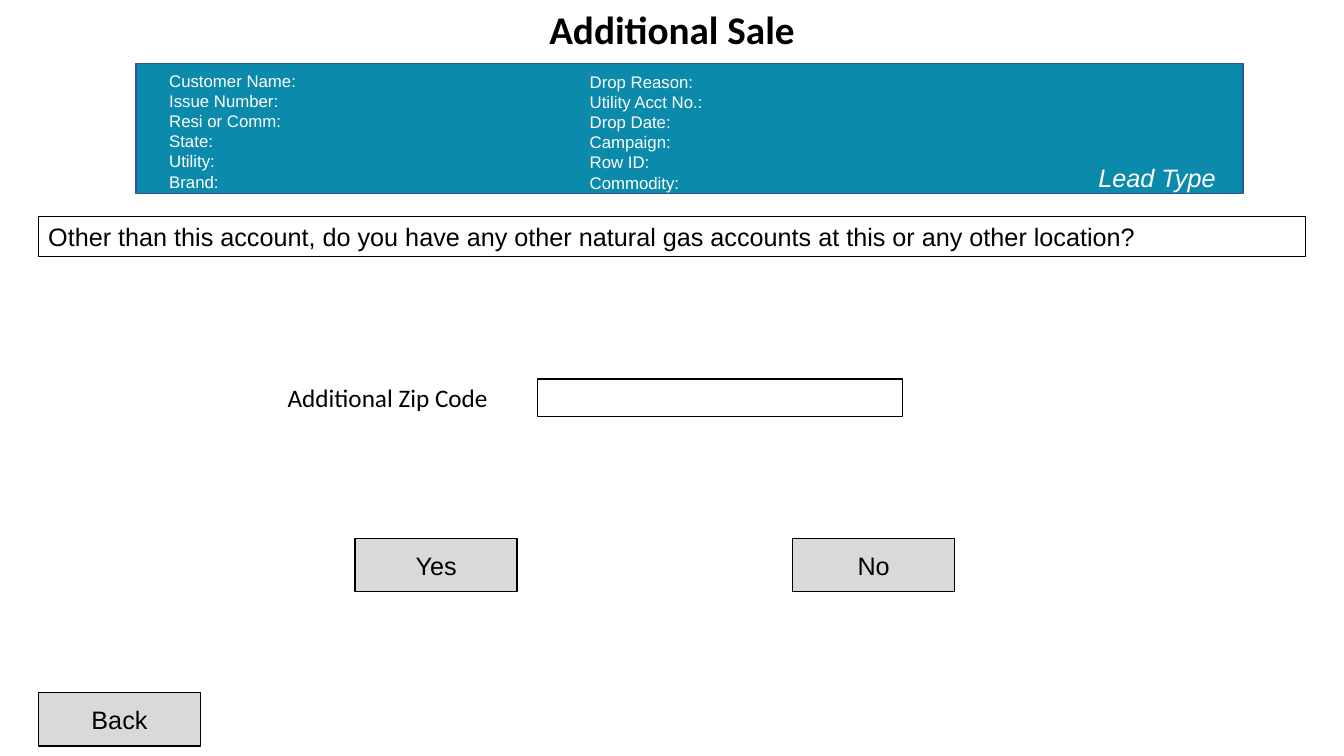
from pptx import Presentation
from pptx import util as u
from pptx.dml.color import RGBColor
from pptx.enum import shapes, text

# Content
TITLE = "Additional Sale"
QUESTION = ("Other than this account, do you have any other natural gas "
            "accounts at this or any other location?")
ZIP_LABEL = "Additional Zip Code"
LEAD = "Lead Type"
ACCOUNT_FIELDS = [  # left, top, width, labels
    (1.58, 0.65, 2.24, ["Customer Name:", "Issue Number:", "Resi or Comm:",
                        "State:", "Utility:", "Brand:"]),
    (5.75, 0.66, 1.69, ["Drop Reason:", "Utility Acct No.:", "Drop Date:",
                        "Campaign:", "Row ID:", "Commodity:"]),
]

# Layout in inches
W, H = 13.33, 7.5
MARGIN = 0.38
BUTTON_W, BUTTON_H = 1.61, 0.53
ANSWER_TOP, BACK_TOP = 5.34, 6.87
BUTTONS = [("Yes", 3.52, ANSWER_TOP), ("No", 7.86, ANSWER_TOP),
           ("Back", MARGIN, BACK_TOP)]

ALIGN = text.PP_ALIGN
ANCHOR = text.MSO_ANCHOR

prs = Presentation()
prs.slide_width, prs.slide_height = u.Inches(W), u.Inches(H)
s = prs.slides.add_slide(prs.slide_layouts[6])


def color(hex_code):
    return RGBColor.from_string(hex_code)


def write(sp, lines, size=18, font="Arial", ink="000000", align=ALIGN.CENTER,
          anchor=ANCHOR.TOP, bold=False, italic=False):
    tf = sp.text_frame
    tf.word_wrap = True
    tf.vertical_anchor = anchor
    tf.text = "\n".join(lines)
    for p in tf.paragraphs:
        p.alignment = align
        for r in p.runs:
            f = r.font
            f.name, f.size, f.bold, f.italic = font, u.Pt(size), bold, italic
            f.color.rgb = color(ink)


def box(x, y, w, h, fill=None, line="000000", weight=1):
    sp = s.shapes.add_shape(shapes.MSO_SHAPE.RECTANGLE,
                            *map(u.Inches, (x, y, w, h)))
    sp.shadow.inherit = False
    if fill:
        sp.fill.solid()
        sp.fill.fore_color.rgb = color(fill)
    else:
        sp.fill.background()
    sp.line.color.rgb = color(line)
    sp.line.width = u.Pt(weight)
    return sp


def label(x, y, w, h, lines, **style):
    write(s.shapes.add_textbox(*map(u.Inches, (x, y, w, h))), lines, **style)


# Title and question
label(0, 0, W, 0.57, [TITLE], size=28, font="Calibri", bold=True)
question = box(MARGIN, 2.15, W - 2 * MARGIN, 0.4, weight=0.75)
write(question, [QUESTION], align=ALIGN.JUSTIFY)

# Account banner
box(1.35, 0.63, 10.98, 1.29, fill="0C8AAC", line="325491")
for x, y, w, labels in ACCOUNT_FIELDS:
    label(x, y, w, 1.31, labels, size=12, ink="FFFFFF", align=ALIGN.LEFT)
label(10.73, 1.56, 1.49, 0.4, [LEAD], ink="FFFFFF", italic=True)

# Zip code entry
label(2.7, 3.75, 2.29, 0.38, [ZIP_LABEL], font="Calibri", anchor=ANCHOR.MIDDLE)
box(5.33, 3.76, 3.62, 0.37, fill="FFFFFF")

# Buttons
for caption, x, y in BUTTONS:
    button = box(x, y, BUTTON_W, BUTTON_H, fill="D9D9D9")
    write(button, [caption], anchor=ANCHOR.MIDDLE)

prs.save("out.pptx")
